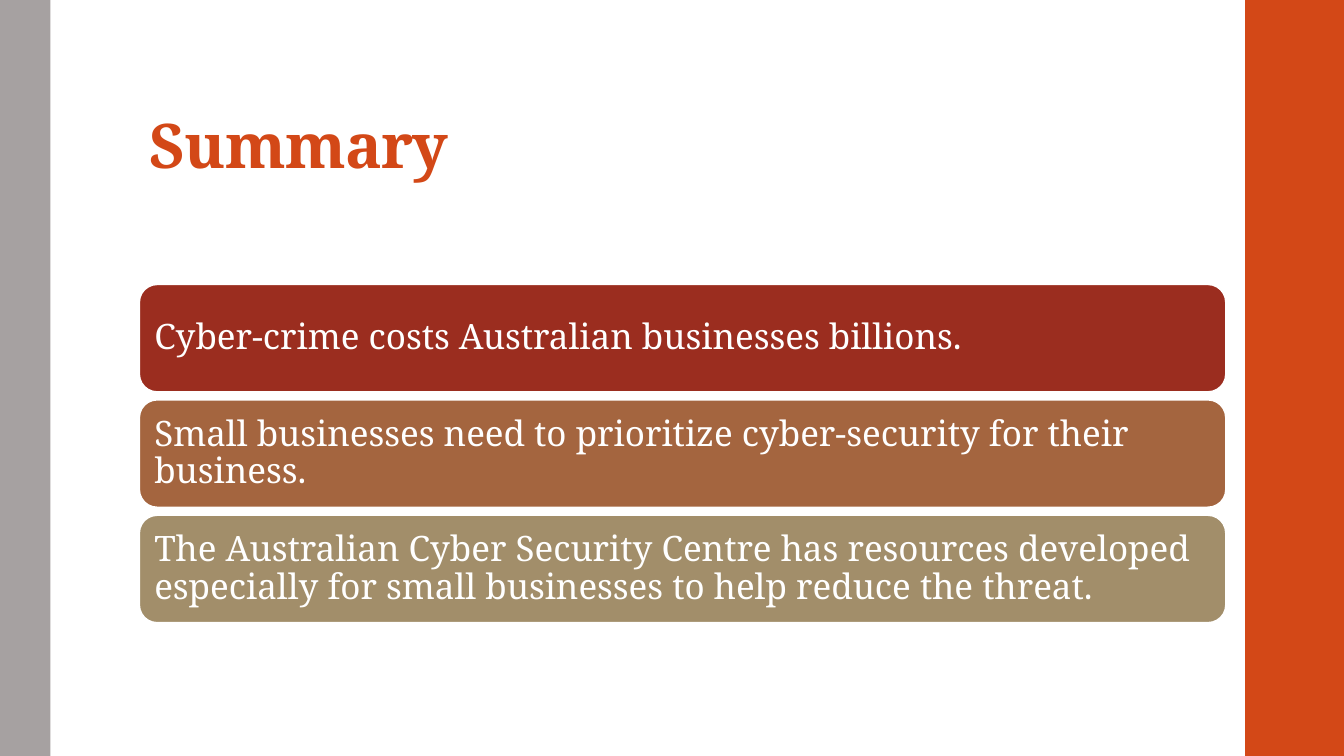
"""Build the Summary slide with three stacked message cards."""
from pptx import Presentation
from pptx.dml.color import RGBColor
from pptx.enum.shapes import MSO_SHAPE
from pptx.enum.text import MSO_ANCHOR, MSO_AUTO_SIZE, PP_ALIGN
from pptx.util import Inches, Pt

RECTANGLE = MSO_SHAPE.RECTANGLE
ROUNDED = MSO_SHAPE.ROUNDED_RECTANGLE
MIDDLE, BOTTOM = MSO_ANCHOR.MIDDLE, MSO_ANCHOR.BOTTOM
LEFT = PP_ALIGN.LEFT
NO_AUTOFIT = MSO_AUTO_SIZE.NONE
TITLE_ONLY = 5
FONT = "Noto Serif"
COLORS = {
    "orange": "D34817",
    "gray": "A6A1A1",
    "red": "9B2D1F",
    "brown": "A4653F",
    "tan": "A28E6A",
    "white": "FFFFFF",
}
CONTENT_LEFT, CONTENT_WIDTH = 1.38, 10.78
CARD_TOP, CARD_HEIGHT, CARD_PITCH = 2.82, 1.07, 1.145


def add_block(kind, left, top, width, height, color):
    shape = slide.shapes.add_shape(
        kind, Inches(left), Inches(top), Inches(width), Inches(height))
    shape.shadow.inherit = False
    shape.fill.solid()
    shape.fill.fore_color.rgb = RGBColor.from_string(COLORS[color])
    shape.line.fill.background()
    return shape


def write_text(shape, text, size, color, anchor, margins):
    frame = shape.text_frame
    frame.word_wrap = True
    frame.auto_size = NO_AUTOFIT
    frame.vertical_anchor = anchor
    frame.margin_left = frame.margin_right = Inches(0.1)
    frame.margin_top, frame.margin_bottom = map(Inches, margins)
    para = frame.paragraphs[0]
    para.alignment = LEFT
    para.line_spacing = 0.9
    span = para.add_run()
    span.text = text
    span.font.name = FONT
    span.font.size = Pt(size)
    span.font.color.rgb = RGBColor.from_string(COLORS[color])
    return span


deck = Presentation()
deck.slide_width, deck.slide_height = Inches(13.33), Inches(7.5)
slide = deck.slides.add_slide(deck.slide_layouts[TITLE_ONLY])

add_block(RECTANGLE, 12.35, 0, 1, 7.5, "orange")
add_block(RECTANGLE, 0, 0, 0.5, 7.5, "gray")

title = slide.shapes.title
title.left, title.top = Inches(CONTENT_LEFT), Inches(0.4)
title.width, title.height = Inches(CONTENT_WIDTH), Inches(1.45)
heading = write_text(title, "Summary", 44, "orange", BOTTOM, (0.03, 0.05))
heading.font.bold = True
heading.font._element.set("spc", "-50")

messages = [
    ("red", "Cyber-crime costs Australian businesses billions."),
    ("brown", "Small businesses need to prioritize cyber-security for their business."),
    ("tan", "The Australian Cyber Security Centre has resources developed "
            "especially for small businesses to help reduce the threat."),
]
for index, (color, message) in enumerate(messages):
    card = add_block(ROUNDED, CONTENT_LEFT, CARD_TOP + index * CARD_PITCH,
                     CONTENT_WIDTH, CARD_HEIGHT, color)
    card.line.color.rgb = RGBColor.from_string(COLORS["white"])
    card.line.width = Pt(1.35)
    write_text(card, message, 25, "white", MIDDLE, (0.1, 0.1))

deck.save("out.pptx")
